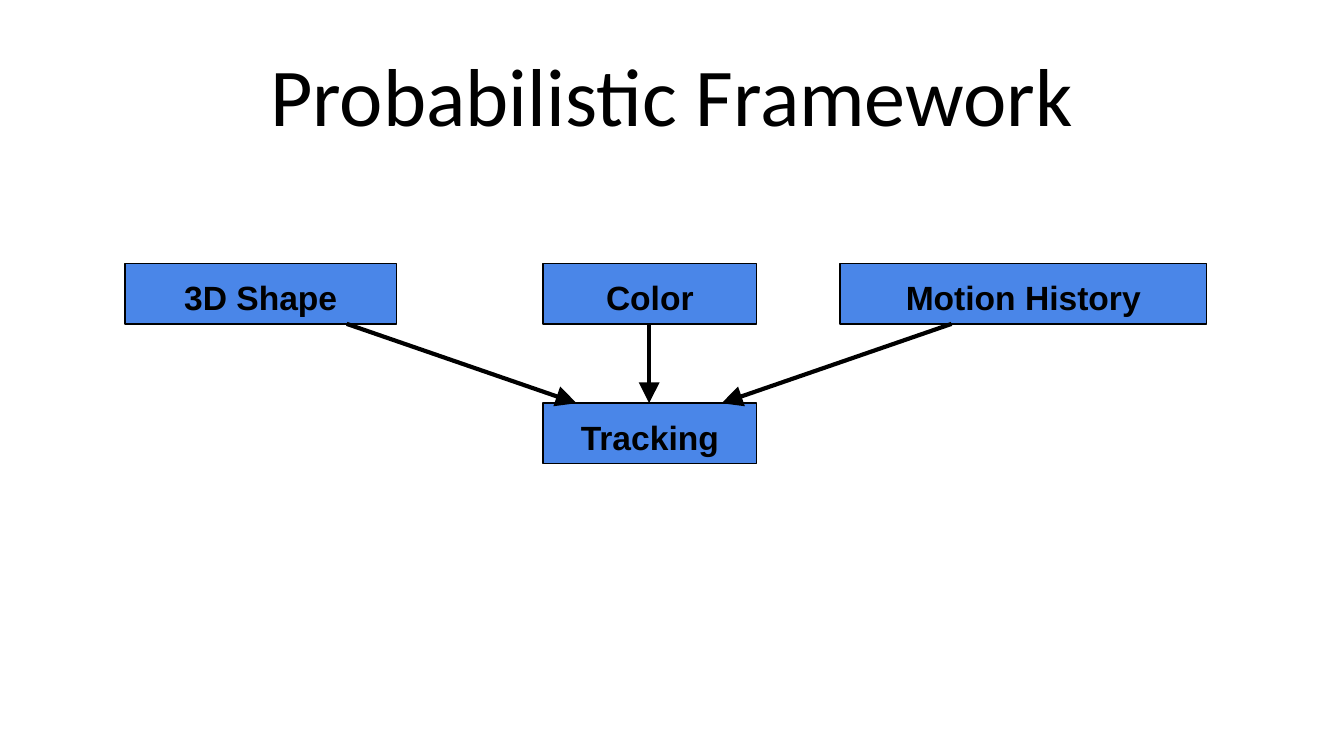
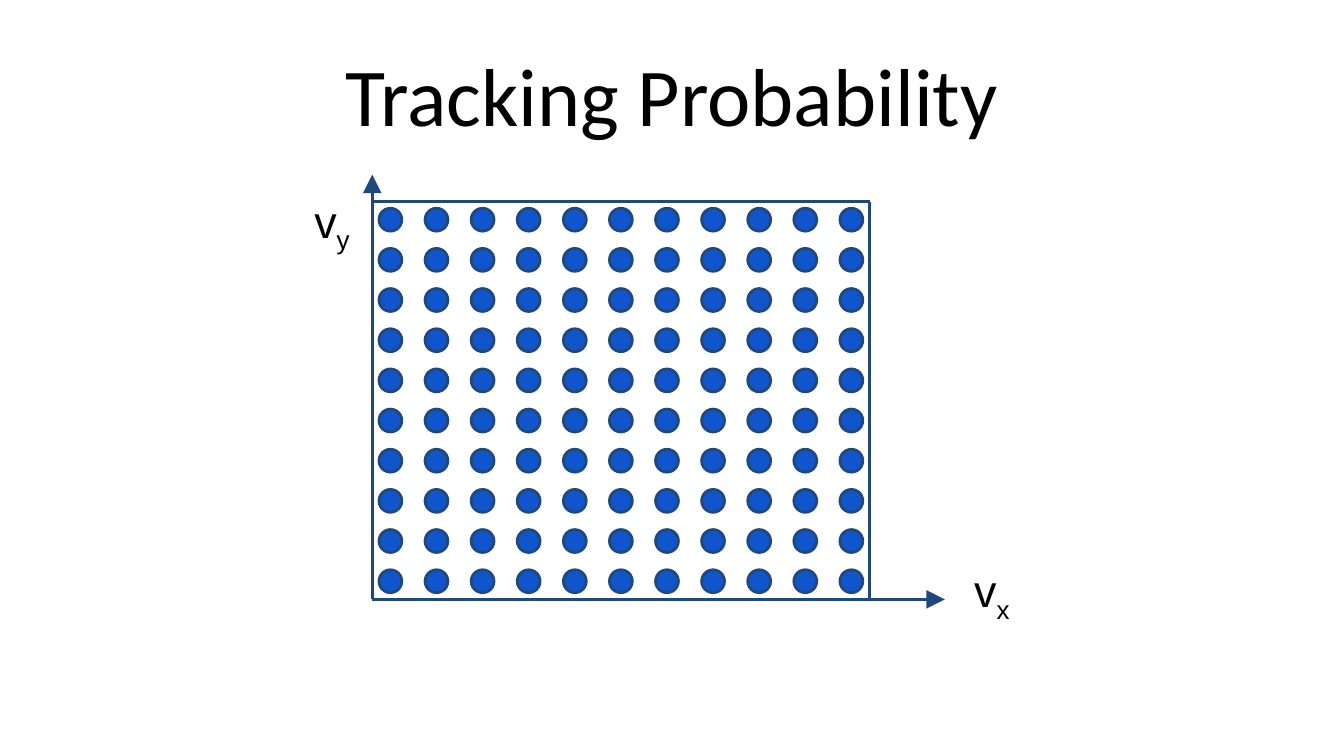
import dataclasses

import pptx
import pptx.dml.color
import pptx.enum.shapes
import pptx.enum.text
import pptx.oxml.ns
import pptx.util
from lxml import etree

Inches = pptx.util.Inches
Shape = pptx.enum.shapes.MSO_SHAPE
Align = pptx.enum.text.PP_ALIGN
Anchor = pptx.enum.text.MSO_ANCHOR


@dataclasses.dataclass(frozen=True)
class Theme:
    ink: str = "000000"
    block: str = "4A86E8"
    dot: str = "1155CC"
    axis: str = "1F497D"
    title_font: str = "Calibri"
    body_font: str = "Arial"
    title_size: float = 44
    block_size: float = 18
    axis_size: float = 24
    thin: float = 0.75
    medium: float = 1.5
    thick: float = 2.25


@dataclasses.dataclass(frozen=True)
class Box:
    left: float
    top: float
    width: float
    height: float

    def inside(self, left, top, width, height):
        """Box whose position is measured from this box's corner."""
        return Box(self.left + left, self.top + top, width, height)

    def point(self, across, down):
        return self.left + across, self.top + down

    def lengths(self):
        return [Inches(value) for value in dataclasses.astuple(self)]


THEME = Theme()
TITLE_BOX = Box(0.5, 0.23, 9, 0.94)


def rgb(colour):
    return pptx.dml.color.RGBColor.from_string(colour)


def write(frame, text, *, size, font=THEME.body_font, colour=THEME.ink, bold=False,
          align=Align.LEFT, anchor=Anchor.TOP, subscript=""):
    frame.word_wrap = True
    frame.auto_size = pptx.enum.text.MSO_AUTO_SIZE.NONE
    frame.vertical_anchor = anchor
    frame.margin_left = frame.margin_right = Inches(0.1)
    frame.margin_top = frame.margin_bottom = Inches(0.1)
    para = frame.paragraphs[0]
    para.alignment = align
    for part in filter(None, (text, subscript)):
        span = para.add_run()
        span.text = part
        span.font.name = font
        span.font.size = pptx.util.Pt(size)
        span.font.bold = bold
        span.font.color.rgb = rgb(colour)
    if subscript:
        span.font._element.set("baseline", "-25000")


def add_filled(page, kind, box, fill, outline, weight):
    shape = page.shapes.add_shape(kind, *box.lengths())
    shape.shadow.inherit = False
    shape.fill.solid()
    shape.fill.fore_color.rgb = rgb(fill)
    shape.line.color.rgb = rgb(outline)
    shape.line.width = pptx.util.Pt(weight)
    return shape


def add_line(page, start, end, colour, weight, arrow=False):
    ends = [Inches(value) for value in (*start, *end)]
    line = page.shapes.add_connector(pptx.enum.shapes.MSO_CONNECTOR.STRAIGHT, *ends)
    line.line.color.rgb = rgb(colour)
    line.line.width = pptx.util.Pt(weight)
    if arrow:
        etree.SubElement(line.line._get_or_add_ln(), pptx.oxml.ns.qn("a:tailEnd"),
                         type="triangle", w="lg", len="lg")
    etree.SubElement(line._element.spPr, pptx.oxml.ns.qn("a:effectLst"))


def add_titled_page(deck, title):
    page = deck.slides.add_slide(deck.slide_layouts.get_by_name("Title Only"))
    holder = page.shapes.title
    holder.left, holder.top, holder.width, holder.height = TITLE_BOX.lengths()
    write(holder.text_frame, title, size=THEME.title_size, font=THEME.title_font,
          align=Align.CENTER, anchor=Anchor.MIDDLE)
    return page


def add_framework(page, box):
    """Three cues in a row, each with an arrow down to the tracking block."""
    block_height = 0.45
    tracking_top = box.height - block_height
    centre = 3.9
    blocks = (("3D Shape", 0, 0, 2.02), ("Color", 3.11, 0, 1.59),
              ("Motion History", 5.32, 0, 2.73), ("Tracking", 3.11, tracking_top, 1.59))
    for label, left, top, width in blocks:
        block = add_filled(page, Shape.RECTANGLE, box.inside(left, top, width, block_height),
                           THEME.block, THEME.ink, THEME.thin)
        write(block.text_frame, label, size=THEME.block_size, bold=True, align=Align.CENTER)
    for side in (-1, 0, 1):
        add_line(page, box.point(centre + side * 2.25, block_height),
                 box.point(centre + side * 0.54, tracking_top),
                 THEME.ink, THEME.thick, arrow=True)


def add_velocity_grid(page, box, columns, rows):
    """Dots filling the box, with velocity axes along its left and bottom edges."""
    origin = box.point(0, box.height)
    corner = box.point(box.width, 0)
    edges = ((origin, box.point(0, -0.2), True),
             (origin, box.point(box.width + 0.56, box.height), True),
             (box.point(0, 0), corner, False),
             (corner, box.point(box.width, box.height), False))
    for start, end, arrow in edges:
        add_line(page, start, end, THEME.axis, THEME.medium, arrow)

    labels = (("y", box.inside(-0.53, -0.16, 0.68, 0.36)),
              ("x", box.inside(box.width + 0.68, box.height - 0.37, 0.59, 0.36)))
    for subscript, place in labels:
        label = page.shapes.add_textbox(*place.lengths())
        write(label.text_frame, "v", size=THEME.axis_size, subscript=subscript)

    margin, size = 0.05, 0.17
    step_across = (box.width - 2 * margin - size) / (columns - 1)
    step_down = (box.height - 2 * margin - size) / (rows - 1)
    for row in range(rows):
        for column in range(columns):
            place = box.inside(margin + column * step_across, margin + row * step_down,
                               size, size)
            add_filled(page, Shape.OVAL, place, THEME.dot, THEME.axis, THEME.medium)


def main():
    deck = pptx.Presentation()
    deck.slide_width = Inches(10)
    deck.slide_height = deck.slide_width * 9 // 16
    add_framework(add_titled_page(deck, "Probabilistic Framework"),
                  Box(0.93, 1.96, 8.05, 1.49))
    add_velocity_grid(add_titled_page(deck, "Tracking Probability"),
                      Box(2.77, 1.5, 3.7, 2.96), columns=11, rows=10)
    deck.save("out.pptx")


if __name__ == "__main__":
    main()
